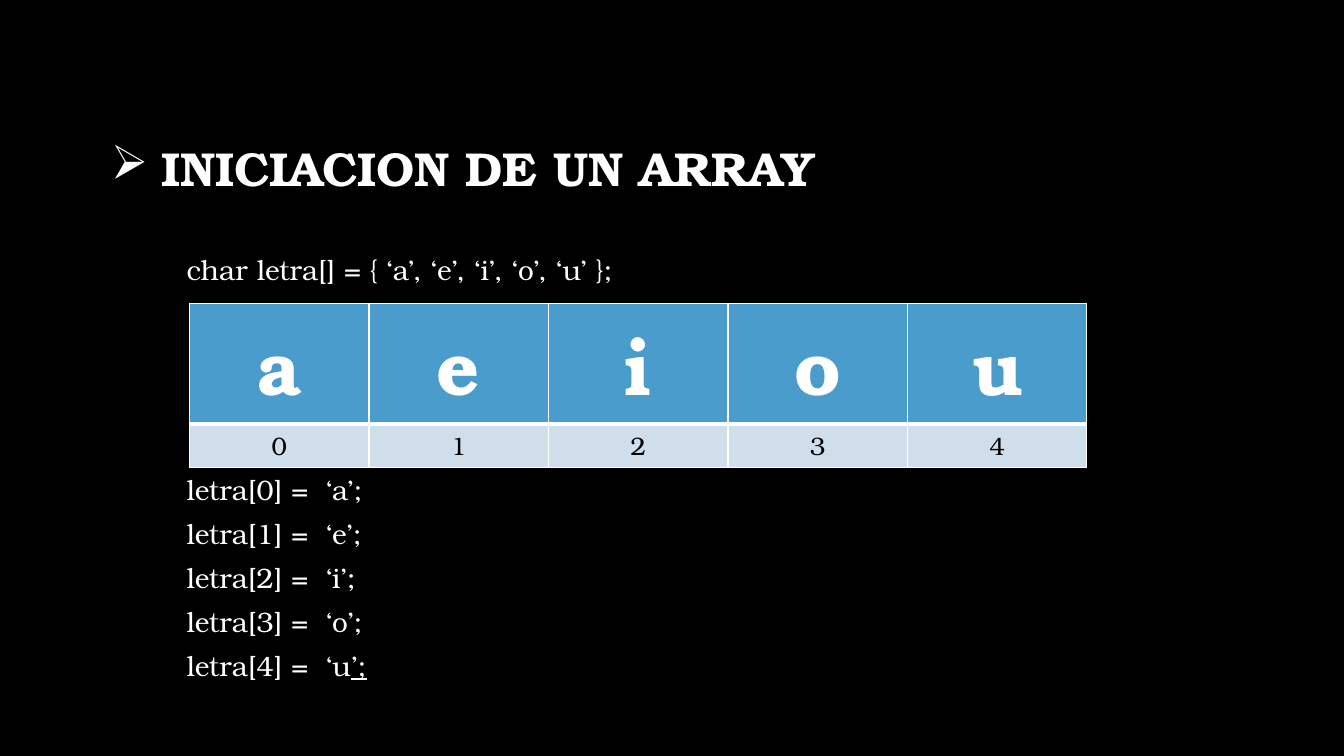
from dataclasses import dataclass

import lxml.etree
import pptx
import pptx.dml.color
import pptx.enum.text
import pptx.oxml.ns
import pptx.util

Inches = pptx.util.Inches
Pt = pptx.util.Pt
qn = pptx.oxml.ns.qn

FONT = "TeX Gyre Bonum"
COLOURS = {
    "background": "000000",
    "light": "FFFFFF",
    "dark": "000000",
    "letter": "4A9CCC",
    "index": "D0DEEC",
}
LETTERS = "aeiou"
COLUMN_WIDTH = 1.78


@dataclass(frozen=True)
class RowStyle:
    height: float
    fill: str
    colour: str
    size: int
    bold: bool
    bottom_line: int


@dataclass(frozen=True)
class CodeLine:
    text: str
    space_before: int = 5
    underlined: str = ""


ROW_STYLES = [
    RowStyle(1.19, "letter", "light", 54, True, 3),
    RowStyle(0.41, "index", "dark", 18, False, 1),
]


def rgb(name: str) -> pptx.dml.color.RGBColor:
    return pptx.dml.color.RGBColor.from_string(COLOURS[name])


def set_all(target, values: dict) -> None:
    for name, value in values.items():
        setattr(target, name, value)


def add_span(para, text: str, colour: str, **font_format) -> None:
    span = para.add_run()
    span.text = text
    set_all(span.font, {"name": FONT, **font_format})
    span.font.color.rgb = rgb(colour)


def set_bullet(para, indent: float, symbol: str = "") -> None:
    properties = para._p.get_or_add_pPr()
    properties.set("marL", str(Inches(0.5)))
    properties.set("indent", str(Inches(indent)))
    if symbol:
        lxml.etree.SubElement(properties, qn("a:buChar")).set("char", symbol)
    else:
        lxml.etree.SubElement(properties, qn("a:buNone"))


def place(box, left: float, top: float, width: float, height: float) -> None:
    lengths = {"left": left, "top": top, "width": width, "height": height}
    set_all(box, {name: Inches(value) for name, value in lengths.items()})


def fill_title(box) -> None:
    place(box, 1, 0.97, 8.78, 1.45)
    set_all(box.text_frame, {
        "vertical_anchor": pptx.enum.text.MSO_ANCHOR.MIDDLE,
        "auto_size": pptx.enum.text.MSO_AUTO_SIZE.NONE,
    })
    para = box.text_frame.paragraphs[0]
    set_all(para, {"alignment": pptx.enum.text.PP_ALIGN.LEFT, "line_spacing": 0.9})
    set_bullet(para, -0.5, "➢")
    add_span(para, "INICIACION DE UN ARRAY", "light", size=Pt(34), bold=True)


def fill_body(box, lines: list[CodeLine]) -> None:
    place(box, 1.25, 2.42, 11.32, 4.62)
    frame = box.text_frame
    set_all(frame, {
        "vertical_anchor": pptx.enum.text.MSO_ANCHOR.TOP,
        "auto_size": pptx.enum.text.MSO_AUTO_SIZE.NONE,
    })
    for position, line in enumerate(lines):
        para = frame.add_paragraph() if position else frame.paragraphs[0]
        set_all(para, {
            "level": 1,
            "line_spacing": 1.1,
            "space_before": Pt(line.space_before),
        })
        set_bullet(para, 0)
        add_span(para, line.text, "light", size=Pt(20))
        if line.underlined:
            add_span(para, line.underlined, "light", size=Pt(20), underline=True)


def add_borders(cell, bottom: int) -> None:
    properties = cell._tc.get_or_add_tcPr()
    for side, width in {"L": 1, "R": 1, "T": 1, "B": bottom}.items():
        line = lxml.etree.SubElement(properties, qn(f"a:ln{side}"), w=str(Pt(width)))
        fill = lxml.etree.SubElement(line, qn("a:solidFill"))
        lxml.etree.SubElement(fill, qn("a:srgbClr"), val=COLOURS["light"])


def add_array_table(page) -> None:
    count = len(LETTERS)
    height = sum(style.height for style in ROW_STYLES)
    table = page.shapes.add_table(
        len(ROW_STYLES), count,
        Inches(1.88), Inches(3.01), Inches(COLUMN_WIDTH * count), Inches(height),
    ).table
    for column in table.columns:
        column.width = Inches(COLUMN_WIDTH)
    for row, style, texts in zip(table.rows, ROW_STYLES, (LETTERS, range(count))):
        row.height = Inches(style.height)
        for cell, text in zip(row.cells, texts):
            add_borders(cell, style.bottom_line)
            cell.fill.solid()
            cell.fill.fore_color.rgb = rgb(style.fill)
            para = cell.text_frame.paragraphs[0]
            para.alignment = pptx.enum.text.PP_ALIGN.CENTER
            add_span(para, str(text), style.colour, size=Pt(style.size), bold=style.bold)


def main() -> None:
    deck = pptx.Presentation()
    set_all(deck, {"slide_width": Inches(13.33), "slide_height": Inches(7.5)})
    page = deck.slides.add_slide(deck.slide_layouts[1])
    page.background.fill.solid()
    page.background.fill.fore_color.rgb = rgb("background")

    last = len(LETTERS) - 1
    lines = [CodeLine("char letra[] = { ‘a’, ‘e’, ‘i’, ‘o’, ‘u’ };")]
    for index, letter in enumerate(LETTERS):
        start = f"letra[{index}] =  ‘{letter}"
        if index == last:
            lines.append(CodeLine(start, underlined="’;"))
        else:
            lines.append(CodeLine(start + "’;", 5 if index else 131))

    fill_title(page.shapes.title)
    fill_body(page.placeholders[1], lines)
    add_array_table(page)
    deck.save("out.pptx")


if __name__ == "__main__":
    main()
